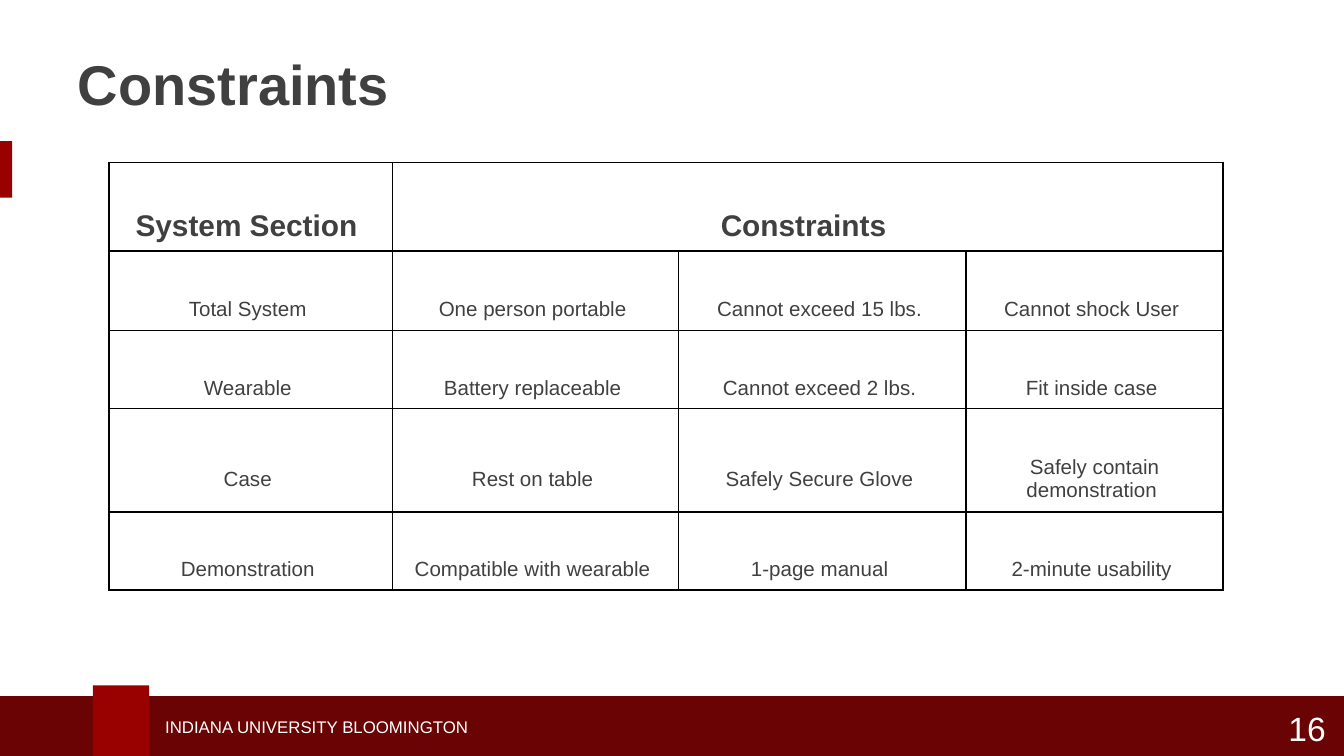
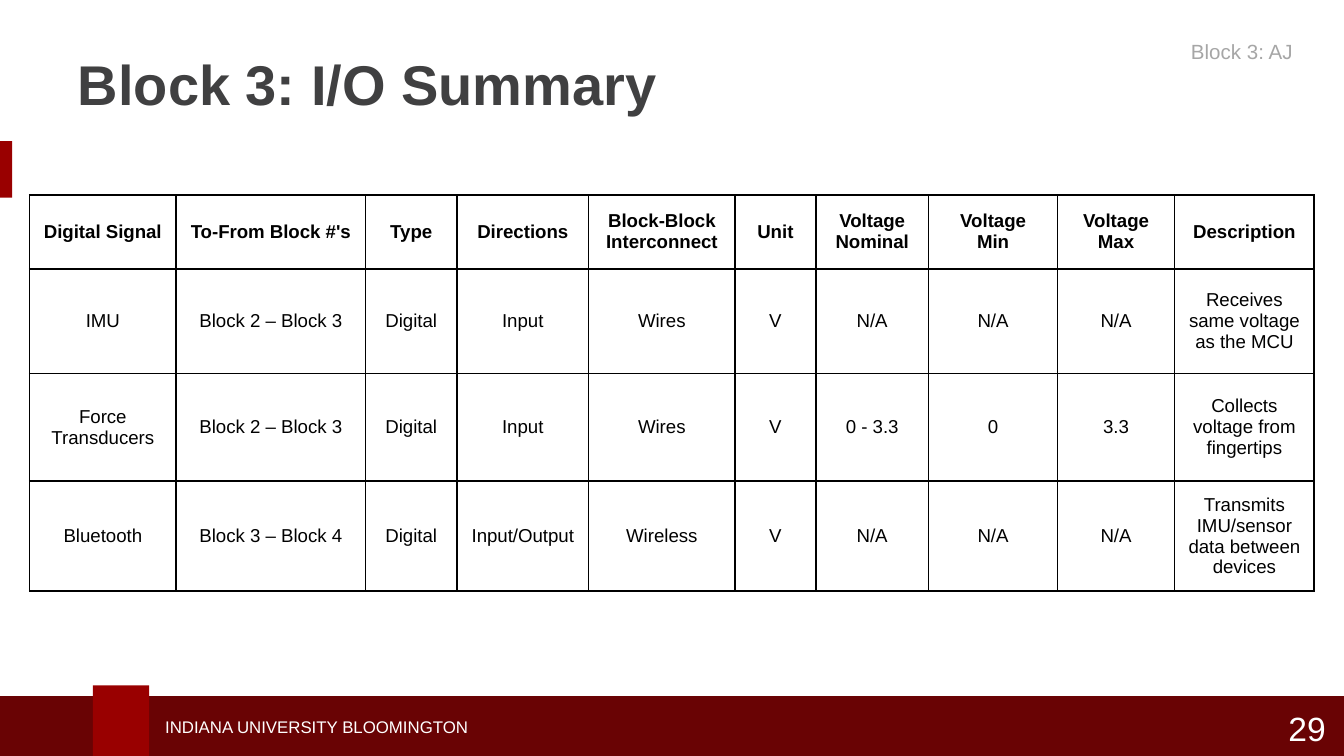
from lxml import etree
from pptx import Presentation
from pptx.dml.color import RGBColor
from pptx.enum.shapes import MSO_SHAPE
from pptx.enum.text import MSO_ANCHOR, MSO_AUTO_SIZE, PP_ALIGN
from pptx.oxml.ns import qn
from pptx.util import Inches, Pt

RECTANGLE = MSO_SHAPE.RECTANGLE
MIDDLE, TOP = MSO_ANCHOR.MIDDLE, MSO_ANCHOR.TOP
LEFT, CENTER, RIGHT = PP_ALIGN.LEFT, PP_ALIGN.CENTER, PP_ALIGN.RIGHT
NO_AUTOFIT = MSO_AUTO_SIZE.NONE

FONT = "Arial"
CRIMSON = RGBColor(0x99, 0x00, 0x00)
DARK_CRIMSON = RGBColor(0x69, 0x03, 0x04)
CHARCOAL = RGBColor(0x40, 0x40, 0x41)
GRAY = RGBColor(0xA6, 0xA6, 0xA6)
BLACK = RGBColor(0x00, 0x00, 0x00)
WHITE = RGBColor(0xFF, 0xFF, 0xFF)

TITLE_AND_BODY, TITLE_ONLY = 1, 5

# Each text here ends in a no-break space
CONSTRAINTS = [
    ["System Section ", "Constraints ", "", ""],
    ["Total System ", "One person portable ", "Cannot exceed 15 lbs. ", "Cannot shock User "],
    ["Wearable ", "Battery replaceable ", "Cannot exceed 2 lbs. ", "Fit inside case "],
    ["Case ", "Rest on table ", "Safely Secure Glove ", "Safely contain demonstration "],
    ["Demonstration ", "Compatible with wearable ", "1-page manual ", "2-minute usability "],
]
# "Digital Signal" holds a no-break space so that it stays on one line
SIGNALS = [
    ["Digital Signal", "To-From Block #'s", "Type", "Directions", "Block-Block Interconnect",
     "Unit", "Voltage Nominal", "Voltage Min", "Voltage Max", "Description"],
    ["IMU", "Block 2 – Block 3", "Digital", "Input", "Wires",
     "V", "N/A", "N/A", "N/A", "Receives same voltage as the MCU"],
    ["Force Transducers", "Block 2 – Block 3", "Digital", "Input", "Wires",
     "V", "0 - 3.3", "0", "3.3", "Collects voltage from fingertips"],
    ["Bluetooth", "Block 3 – Block 4", "Digital", "Input/Output", "Wireless",
     "V", "N/A", "N/A", "N/A", "Transmits IMU/sensor data between devices"],
]


def write(frame, text, size, color, bold=False, align=LEFT):
    """Fill a text frame with one evenly formatted paragraph."""
    frame.word_wrap = True
    paragraph = frame.paragraphs[0]
    paragraph.text = text
    paragraph.alignment = align
    font = paragraph.font
    font.name, font.size, font.bold = FONT, Pt(size), bold
    font.color.rgb = color


def place(shape, left, top, width, height):
    shape.left, shape.top = Inches(left), Inches(top)
    shape.width, shape.height = Inches(width), Inches(height)


def add_block(slide, color, left, top, width, height):
    block = slide.shapes.add_shape(
        RECTANGLE, Inches(left), Inches(top), Inches(width), Inches(height))
    block.shadow.inherit = False
    block.fill.solid()
    block.fill.fore_color.rgb = color
    block.line.fill.background()


def add_label(slide, text, size, align, left, top, width, height):
    label = slide.shapes.add_textbox(
        Inches(left), Inches(top), Inches(width), Inches(height))
    label.text_frame.vertical_anchor = MIDDLE
    write(label.text_frame, text, size, WHITE, align=align)


def add_branded_slide(prs, layout, title, title_width, number):
    """Add a slide with the side tab, footer band, title and page number."""
    slide = prs.slides.add_slide(prs.slide_layouts[layout])
    add_block(slide, CRIMSON, 0, 1.05, 0.09, 0.42)
    add_block(slide, DARK_CRIMSON, -0.03, 5.18, 10.09, 0.5)
    add_block(slide, CRIMSON, 0.69, 5.1, 0.42, 0.58)
    add_label(slide, "INDIANA UNIVERSITY BLOOMINGTON", 9, LEFT, 1.13, 5.28, 3.95, 0.25)
    add_label(slide, str(number), 18, CENTER, 9.45, 5.22, 0.55, 0.4)

    heading = slide.shapes.title
    place(heading, 0.48, 0.24, title_width, 0.76)
    heading.text_frame.auto_size = NO_AUTOFIT
    heading.text_frame.vertical_anchor = MIDDLE
    write(heading.text_frame, title, 30, CHARCOAL, bold=True)
    return slide


def fill_block_owner(slide, text):
    """Put the block owner into the body placeholder, at the top right."""
    owner = slide.placeholders[1]
    place(owner, 8.24, 0.24, 1.48, 0.29)
    frame = owner.text_frame
    frame.auto_size = NO_AUTOFIT
    frame.vertical_anchor = TOP
    properties = frame.paragraphs[0]._p.get_or_add_pPr()
    properties.set("marL", "0")
    properties.set("indent", "0")
    etree.SubElement(properties, qn("a:buNone"))
    write(frame, text, 11, GRAY, align=RIGHT)
    frame.paragraphs[0].space_before = Pt(0)


def add_borders(cell):
    properties = cell._tc.get_or_add_tcPr()
    for side in ("a:lnL", "a:lnR", "a:lnT", "a:lnB"):
        line = etree.SubElement(properties, qn(side), w=str(Pt(1)))
        fill = etree.SubElement(line, qn("a:solidFill"))
        etree.SubElement(fill, qn("a:srgbClr"), val=str(BLACK))


def add_grid(slide, rows, left, top, widths, heights,
             header_size, body_size, color, top_margin=0.05):
    """Add a bordered table with a bold first row; return the table."""
    grid = slide.shapes.add_table(
        len(rows), len(widths), Inches(left), Inches(top),
        Inches(sum(widths)), Inches(sum(heights))).table
    grid.first_row = grid.horz_banding = False
    for column, width in zip(grid.columns, widths):
        column.width = Inches(width)
    for row, height in zip(grid.rows, heights):
        row.height = Inches(height)

    for r, texts in enumerate(rows):
        size = header_size if r == 0 else body_size
        for c, text in enumerate(texts):
            cell = grid.cell(r, c)
            add_borders(cell)
            cell.fill.background()
            cell.vertical_anchor = MIDDLE
            cell.margin_top = Inches(top_margin)
            write(cell.text_frame, text, size, color, bold=r == 0, align=CENTER)
    return grid


def main():
    prs = Presentation()
    prs.slide_width = Inches(10)
    prs.slide_height = prs.slide_width * 9 // 16

    # Constraints by system section
    slide = add_branded_slide(prs, TITLE_ONLY, "Constraints", 2.91, 16)
    constraints = add_grid(
        slide, CONSTRAINTS, 0.81, 1.21,
        widths=[2.11, 2.13, 2.14, 1.91], heights=[0.66, 0.59, 0.58, 0.77, 0.58],
        header_size=16, body_size=11, color=CHARCOAL, top_margin=0.33)
    constraints.cell(0, 1).merge(constraints.cell(0, 3))

    # Signals of block 3
    slide = add_branded_slide(prs, TITLE_AND_BODY, "Block 3: I/O Summary", 7.04, 29)
    fill_block_owner(slide, "Block 3: AJ")
    add_grid(
        slide, SIGNALS, 0.22, 1.45,
        widths=[1.09, 1.41, 0.68, 0.98, 1.09, 0.6, 0.84, 0.96, 0.87, 1.04],
        heights=[0.55, 0.78, 0.8, 0.82],
        header_size=10, body_size=10, color=BLACK)

    prs.save("out.pptx")


if __name__ == "__main__":
    main()
